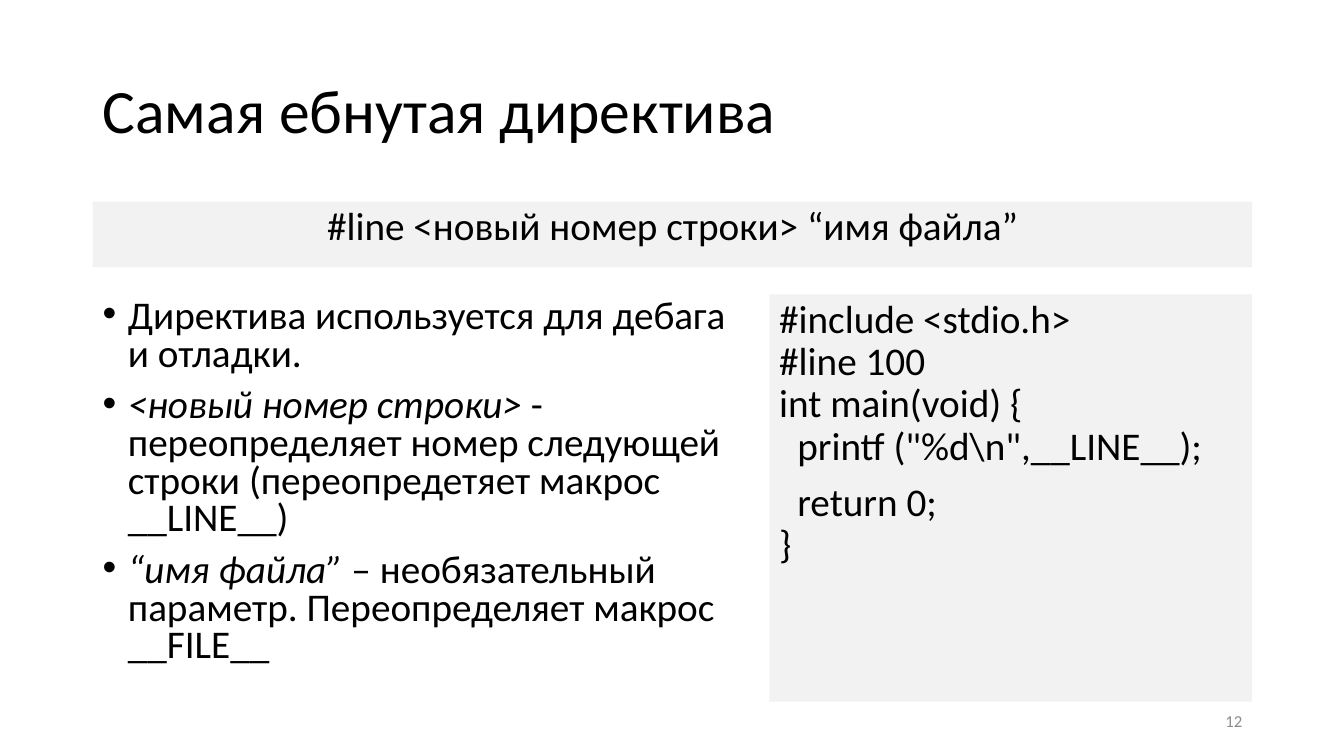
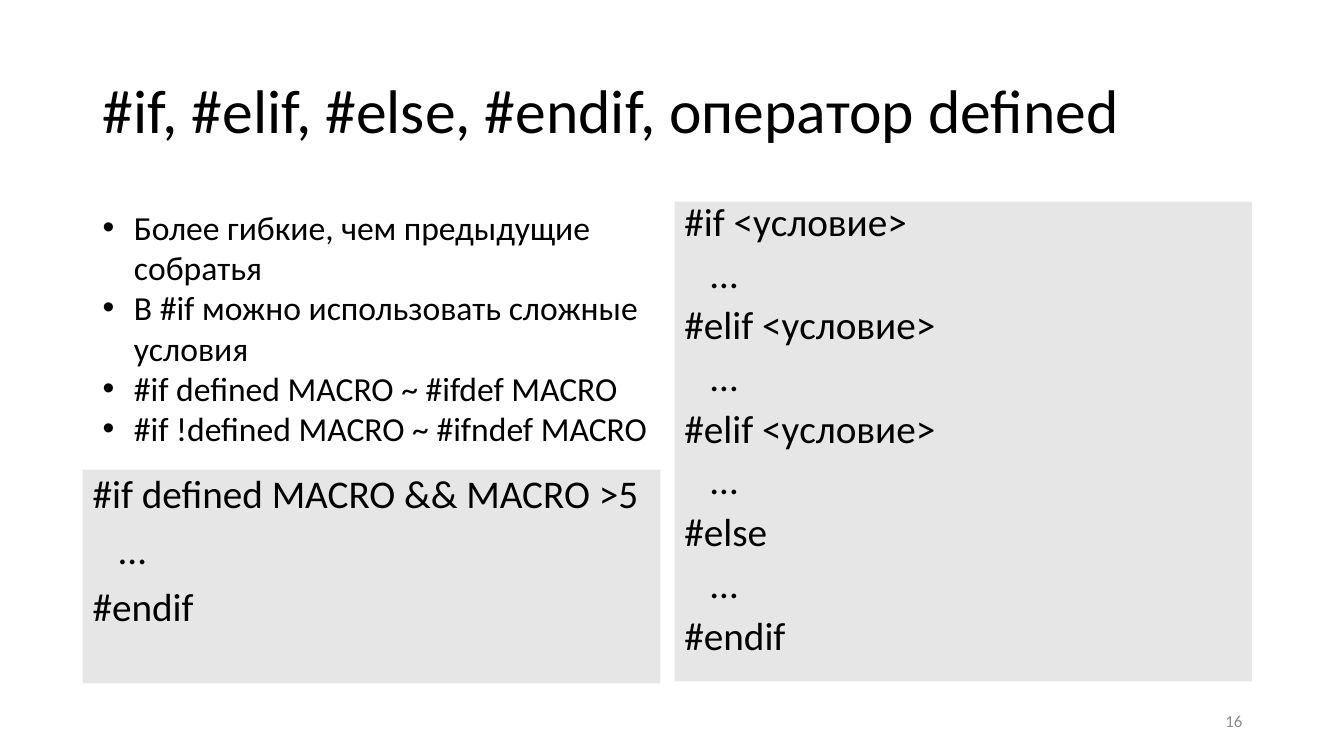
from dataclasses import dataclass

from lxml import etree
from pptx import Presentation
from pptx.dml.color import RGBColor
from pptx.enum import shapes, text
from pptx.oxml import ns
from pptx.util import Inches, Pt

FONT = "Calibri"
BLACK = RGBColor(0x00, 0x00, 0x00)
NUMBER_GRAY = RGBColor(0x8C, 0x8C, 0x8C)
PALE_GRAY = RGBColor(0xF2, 0xF2, 0xF2)
CODE_GRAY = RGBColor(0xE7, 0xE6, 0xE6)

# Shared page frame, in inches
LEFT, WIDTH, TOP = 0.92, 11.5, 2
RIGHT = LEFT + WIDTH
TITLE_BOX = (LEFT, 0.4, WIDTH, 1.45)
NUMBER_BOX = (RIGHT - 3, 6.95, 3, 0.4)


@dataclass
class Style:
    size: int = 28
    color: RGBColor = BLACK
    align: text.PP_ALIGN = text.PP_ALIGN.LEFT
    spacing: float = 0.9
    before: int = 0
    hang: float = 0  # bullet indent in inches; 0 means no bullet


@dataclass
class Line:
    content: str
    term: str = ""  # italic lead-in
    indent: float = 0
    joined: bool = False  # no space before


def add_bullet(para, hang):
    props = para._p.get_or_add_pPr()
    props.set("marL", str(Inches(hang)))
    props.set("indent", str(-Inches(hang)))
    font = etree.SubElement(props, ns.qn("a:buFont"))
    font.set("typeface", "Arial")
    etree.SubElement(props, ns.qn("a:buChar")).set("char", "•")


def write_lines(frame, lines, style):
    frame.word_wrap = True
    for index, line in enumerate(lines):
        para = frame.paragraphs[0] if index == 0 else frame.add_paragraph()
        para.text = line.term or line.content
        if line.term:
            para.add_run().text = line.content
            para.runs[0].font.italic = True
        para.alignment = style.align
        para.line_spacing = style.spacing
        para.space_before = Pt(0 if line.joined else style.before)
        if style.hang:
            add_bullet(para, style.hang)
        elif line.indent:
            para._p.get_or_add_pPr().set("marL", str(Inches(line.indent)))
        for span in para.runs:
            span.font.name = FONT
            span.font.size = Pt(style.size)
            span.font.color.rgb = style.color


def add_text(page, box, lines, style, anchor=text.MSO_ANCHOR.TOP):
    frame = page.shapes.add_textbox(*map(Inches, box)).text_frame
    frame.vertical_anchor = anchor
    write_lines(frame, lines, style)


def add_panel(page, box, lines, style, fill):
    panel = page.shapes.add_shape(shapes.MSO_SHAPE.RECTANGLE, *map(Inches, box))
    panel.shadow.inherit = False
    panel.fill.solid()
    panel.fill.fore_color.rgb = fill
    panel.line.fill.background()
    panel.text_frame.vertical_anchor = text.MSO_ANCHOR.TOP
    write_lines(panel.text_frame, lines, style)


def add_page(deck, title, number):
    """Blank page with the shared title and page number."""
    page = deck.slides.add_slide(deck.slide_layouts[6])
    middle = text.MSO_ANCHOR.MIDDLE
    add_text(page, TITLE_BOX, [Line(title)], Style(size=44), middle)
    add_text(page, NUMBER_BOX, [Line(str(number))],
             Style(12, NUMBER_GRAY, text.PP_ALIGN.RIGHT, 1), middle)
    return page


def build_line_page(deck):
    page = add_page(deck, "Самая ебнутая директива", 12)
    body_top, body_height, code_width = 2.92, 4.04, 4.79

    # Syntax band
    add_panel(page, (LEFT, TOP, WIDTH, 0.65),
              [Line("#line <новый номер строки> “имя файла”")],
              Style(align=text.PP_ALIGN.CENTER, before=10), PALE_GRAY)

    # Explanation
    add_text(page, (LEFT, body_top, 6.58, body_height), [
        Line("Директива используется для дебага и отладки."),
        Line("- переопределяет номер следующей строки "
             "(переопредетяет макрос __LINE__)", term="<новый номер строки> "),
        Line(" – необязательный параметр. Переопределяет макрос __FILE__",
             term="“имя файла”"),
    ], Style(spacing=0.8, before=10, hang=0.25))

    # Code sample
    add_panel(page, (RIGHT - code_width, body_top, code_width, body_height), [
        Line("#include <stdio.h>"),
        Line("#line 100", joined=True),
        Line("int main(void) {", joined=True),
        Line('printf ("%d\\n",__LINE__);', indent=0.18, joined=True),
        Line("return 0;", indent=0.18),
        Line("}", joined=True),
    ], Style(before=10), PALE_GRAY)


def build_if_page(deck):
    page = add_page(deck, "#if, #elif, #else, #endif, оператор defined", 16)
    panel_width = 5.73
    body = Line("…", indent=0.26)

    # Full branch pattern
    branches = ["#if <условие>", "#elif <условие>", "#elif <условие>", "#else"]
    pattern = [line for branch in branches for line in (Line(branch), body)]
    add_panel(page, (RIGHT - panel_width, TOP, panel_width, 4.76),
              pattern + [Line("#endif")],
              Style(spacing=0.8, before=10), CODE_GRAY)

    # Remarks
    add_text(page, (LEFT, TOP, 5.68, 2.93), [
        Line("Более гибкие, чем предыдущие собратья"),
        Line("В #if можно использовать сложные условия"),
        Line("#if defined MACRO ~ #ifdef MACRO"),
        Line("#if !defined MACRO ~ #ifndef MACRO"),
    ], Style(size=24, spacing=1, hang=0.31))

    # Example with defined
    add_panel(page, (LEFT - 0.1, 4.66, panel_width, 2.12),
              [Line("#if defined MACRO && MACRO >5"), body, Line("#endif")],
              Style(before=10), CODE_GRAY)


def main():
    deck = Presentation()
    deck.slide_width, deck.slide_height = Inches(13.33), Inches(7.5)
    build_line_page(deck)
    build_if_page(deck)
    deck.save("out.pptx")


if __name__ == "__main__":
    main()
